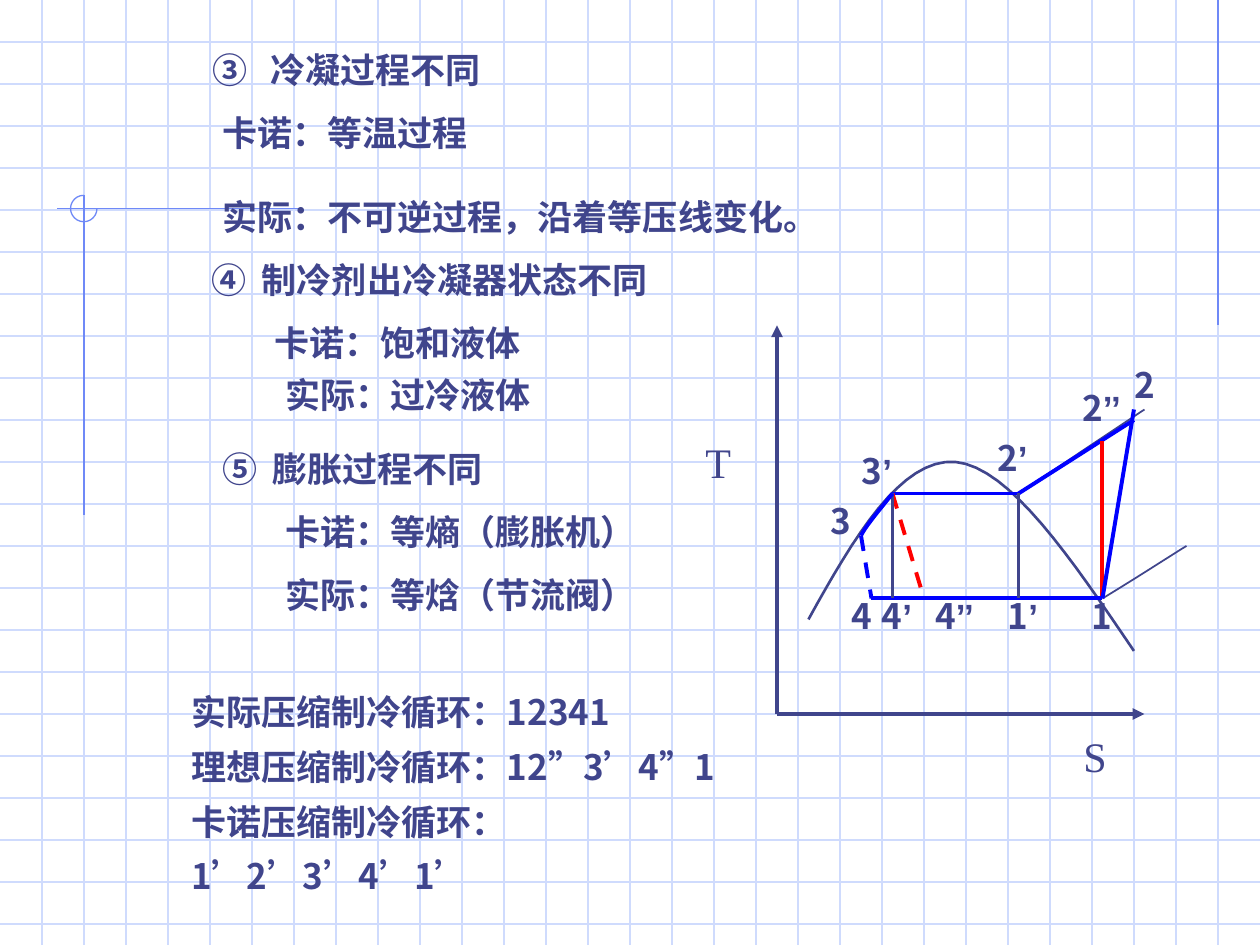
from pptx import Presentation
from pptx.dml.color import RGBColor
from pptx.enum.dml import MSO_LINE
from pptx.enum.shapes import MSO_CONNECTOR, MSO_SHAPE
from pptx.enum.text import MSO_ANCHOR, MSO_AUTO_SIZE, PP_ALIGN
from pptx.oxml.ns import qn
from pptx.util import Cm, Pt
from lxml.etree import SubElement

# All places are counted in squares of the background grid
COLUMNS, ROWS = 30, 22.5
SQUARE = 25.4 / COLUMNS

INK, GRID, MARK = "40458C", "CFDBFD", "6F89F7"
BLUE, RED = "0000FF", "FF0000"
CHINESE, QUOTE, SERIF = "Noto Sans CJK SC", "Arial", "Times New Roman"

# State points of the cycles on the T-S diagram
STATES = {
    "1": (26.25, 14.25), "1’": (24.25, 14.25),
    "2": (27, 9.75), "2’": (24.25, 11.75), "2’’": (26.25, 10.5),
    "3": (20.5, 12.75), "3’": (21.25, 11.75),
    "4": (20.75, 14.25), "4’": (21.25, 14.25), "4’’": (22, 14.25),
}


def squares(count):
    return Cm(count * SQUARE)


def color(value):
    return RGBColor.from_string(value)


def style_line(line, value, width, dashed=False):
    line.color.rgb = color(value)
    line.width = Pt(width)
    if dashed:
        line.dash_style = MSO_LINE.DASH


def add_line(page, start, end, value, width, dashed=False, arrow=False):
    connector = page.shapes.add_connector(
        MSO_CONNECTOR.STRAIGHT, *map(squares, (*start, *end)))
    style_line(connector.line, value, width, dashed)
    properties = connector._element.spPr
    if arrow:
        SubElement(properties.find(qn("a:ln")), qn("a:tailEnd"), type="triangle")
    SubElement(properties, qn("a:effectLst"))


def add_curve(page, points, value, width, steps=16):
    """Draw cubic segments: a start point, then three points for each."""
    places = []
    for first in range(0, len(points) - 1, 3):
        a, b, c, d = points[first:first + 4]
        for step in range(1, steps + 1):
            t = step / steps
            u = 1 - t
            places.append([
                squares(u**3 * a[i] + 3 * u * u * t * b[i] + 3 * u * t * t * c[i] + t**3 * d[i])
                for i in (0, 1)])
    builder = page.shapes.build_freeform(*map(squares, points[0]))
    builder.add_line_segments(places, close=False)
    curve = builder.convert_to_shape()
    curve.shadow.inherit = False
    curve.fill.background()
    style_line(curve.line, value, width)


def add_span(para, words, font, size, bold):
    span = para.add_run()
    span.text = words
    span.font.name = font
    span.font.size = Pt(size)
    span.font.bold = bold
    span.font.color.rgb = color(INK)
    SubElement(span._r.get_or_add_rPr(), qn("a:ea"), typeface=CHINESE)


def add_words(para, words, font=CHINESE, size=20, bold=True):
    """Add the words, with every group of quote marks in its own run."""
    part = ""
    for index, letter in enumerate(words):
        part += letter
        following = words[index + 1:index + 2]
        if not following or (letter in "’”") != (following in "’”"):
            add_span(para, part, QUOTE if letter in "’”" else font, size, bold)
            part = ""


def set_frame(box, wrap=True):
    frame = box.text_frame
    frame.word_wrap = wrap
    frame.auto_size = MSO_AUTO_SIZE.NONE
    frame.vertical_anchor = MSO_ANCHOR.TOP
    return frame


def move(box, left, top, width, height):
    box.left, box.top, box.width, box.height = map(squares, (left, top, width, height))


def add_text(page, words, left, top, width, height=1.32, wrap=True, tab=None, **look):
    box = page.shapes.add_textbox(*map(squares, (left, top, width, height)))
    para = set_frame(box, wrap).paragraphs[0]
    if tab:
        add_tab(para, tab)
    add_words(para, words, **look)


def add_tab(para, place):
    stops = SubElement(para._p.get_or_add_pPr(), qn("a:tabLst"))
    SubElement(stops, qn("a:tab"), pos=str(squares(place)), algn="l")


def draw_background(page):
    for row in range(1, int(ROWS) + 1):
        add_line(page, (0, row), (COLUMNS, row), GRID, 0.75)
    for column in range(1, COLUMNS):
        add_line(page, (column, 0), (column, ROWS), GRID, 0.75)
    # Margin marks with the open circle at their crossing
    add_line(page, (29, 0), (29, 7.75), MARK, 0.75)
    add_line(page, (7.2, 4.97), (1.35, 4.97), MARK, 0.75)
    add_line(page, (2, 4.65), (2, 12.27), MARK, 0.75)
    circle = page.shapes.add_shape(
        MSO_SHAPE.ARC, *map(squares, (1.68, 4.65, 0.63, 0.63)))
    circle.adjustments[0] = 0
    circle.adjustments[1] = 162
    circle.shadow.inherit = False
    circle.fill.background()
    style_line(circle.line, MARK, 0.75)


def fill_title(page):
    title = page.shapes.title
    page.shapes._spTree.append(title._element)  # in front of the grid
    move(title, 4.75, 1, 14.75, 1.32)
    para = set_frame(title).paragraphs[0]
    para.alignment = PP_ALIGN.LEFT
    add_tab(para, 1.38)
    add_words(para, "③\t冷凝过程不同")


def fill_cycles(page):
    body = page.placeholders[1]
    page.shapes._spTree.append(body._element)
    move(body, 4.25, 16, 13.75, 5.52)
    frame = set_frame(body)
    cycles = [("实际压缩制冷循环：12341", PP_ALIGN.JUSTIFY),
              ("理想压缩制冷循环：12”3’4”1", PP_ALIGN.JUSTIFY),
              ("卡诺压缩制冷循环：1’2’3’4’1’", PP_ALIGN.LEFT)]
    for index, (words, alignment) in enumerate(cycles):
        para = frame.add_paragraph() if index else frame.paragraphs[0]
        para.alignment = alignment
        para.line_spacing = Pt(31.2)
        para.space_before = Pt(0)
        properties = para._p.get_or_add_pPr()
        properties.set("marL", "0")
        properties.set("indent", "0")
        SubElement(properties, qn("a:buNone"))
        add_words(para, words)


def draw_diagram(page):
    # Axes
    origin = (18.5, 17)
    add_line(page, origin, (27.25, 17), INK, 2.25, arrow=True)
    add_line(page, origin, (18.5, 7.75), INK, 2.25, arrow=True)
    # Saturation dome and the two isobars in the vapour region
    add_curve(page, [(19.25, 14.75), (20.33, 12.8), (21.45, 10.9), (22.75, 11),
                     (24.04, 11.12), (25.52, 13.32), (27, 15.5)], INK, 1.5)
    add_curve(page, [STATES["2’"], (25.5, 10.92), (26.75, 10.08), (27.25, 9.75)], INK, 1)
    add_curve(page, [STATES["1"], (27.08, 13.75), (27.92, 13.2), (28.25, 13)], INK, 1)
    # Processes between the states
    add_line(page, (27, 10), STATES["2’"], BLUE, 2.25)
    for start, end, value, dashed in [
            ("1", "2’’", RED, False), ("2’", "3’", BLUE, False),
            ("3’", "4’’", RED, True), ("1", "2", BLUE, False),
            ("3", "4", BLUE, True), ("1", "4", BLUE, False),
            ("2’", "1’", INK, False), ("3’", "4’", INK, False)]:
        add_line(page, STATES[start], STATES[end], value, 2.25, dashed)
    add_curve(page, [STATES["3’"], (20.95, 12.13), (20.63, 12.5), STATES["3"]], BLUE, 2.25)
    # State and axis labels
    for words, left, top in [
            ("1", 25.7, 14), ("2", 26.72, 8.5), ("2’’", 25.47, 9.05), ("2’", 23.45, 10.25),
            ("3", 19.47, 11.75), ("3’", 20.22, 10.55), ("1’", 23.7, 14),
            ("4", 19.97, 14), ("4’’", 21.97, 14), ("4’", 20.7, 14)]:
        add_text(page, words, left, top, 0.88 + 0.22 * len(words), wrap=False)
    for words, left, top, width in [("S", 25.5, 17.25, 1.25), ("T", 16.5, 10.25, 1.75)]:
        add_text(page, words, left, top, width, 1.5, font=SERIF, size=24, bold=False)


def main():
    deck = Presentation()
    deck.slide_width, deck.slide_height = squares(COLUMNS), squares(ROWS)
    page = deck.slides.add_slide(deck.slide_layouts[1])
    draw_background(page)
    fill_title(page)
    # Differences between the Carnot and the real cycle
    for words, left, top, width in [
            ("卡诺：等温过程", 5, 2.5, 13.75),
            ("实际：不可逆过程，沿着等压线变化。", 5, 4.5, 22.25),
            ("④\t制冷剂出冷凝器状态不同", 4.75, 6, 21),
            ("卡诺：饱和液体", 6.25, 7.5, 11),
            ("实际：过冷液体", 6.5, 8.75, 10.25),
            ("⑤\t膨胀过程不同", 5, 10.5, 10.5),
            ("卡诺：等熵（膨胀机）", 6.5, 12, 10),
            ("实际：等焓（节流阀）", 6.5, 13.5, 11)]:
        add_text(page, words, left, top, width, tab=1.19 if "\t" in words else None)
    fill_cycles(page)
    draw_diagram(page)
    deck.save("out.pptx")


if __name__ == "__main__":
    main()
